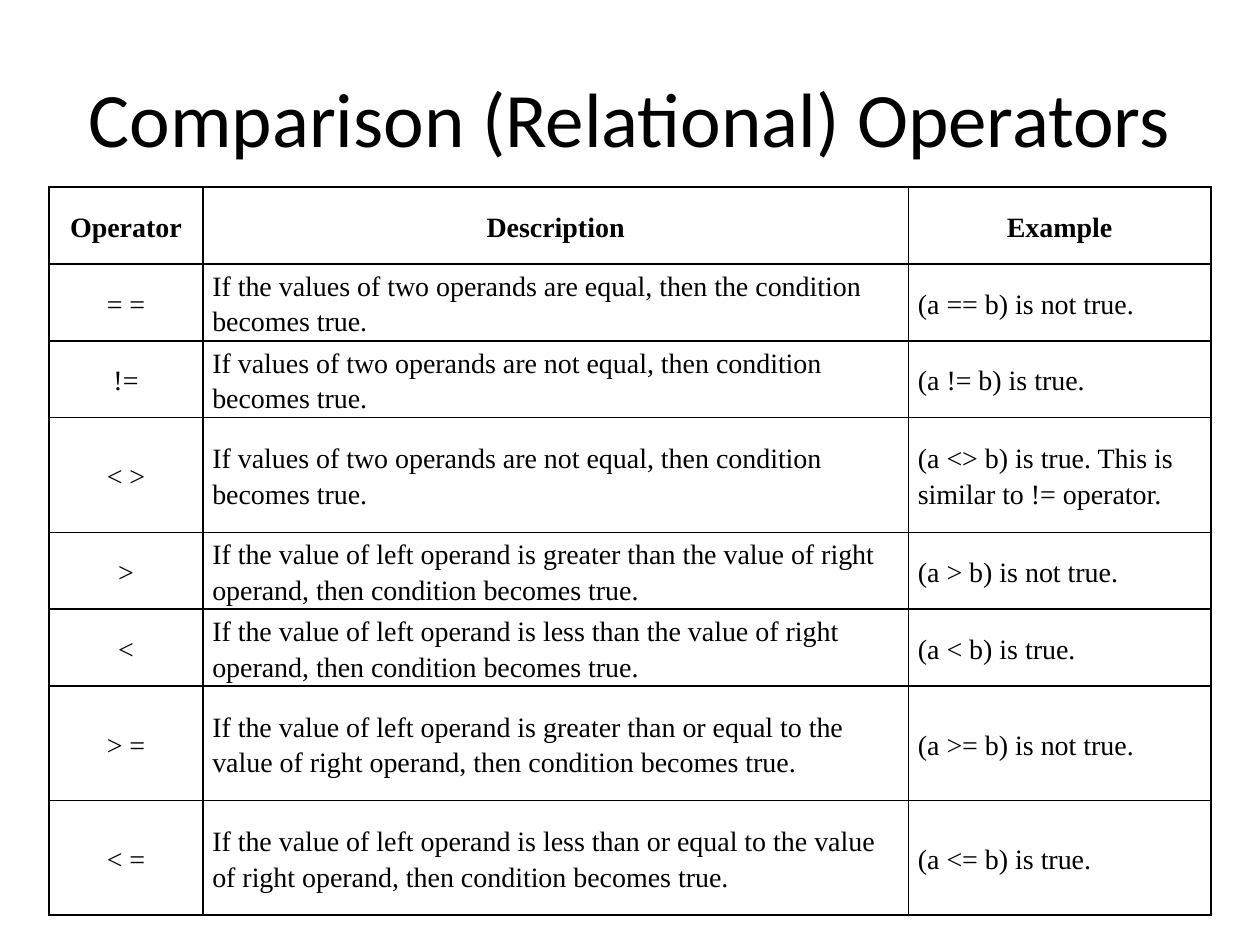
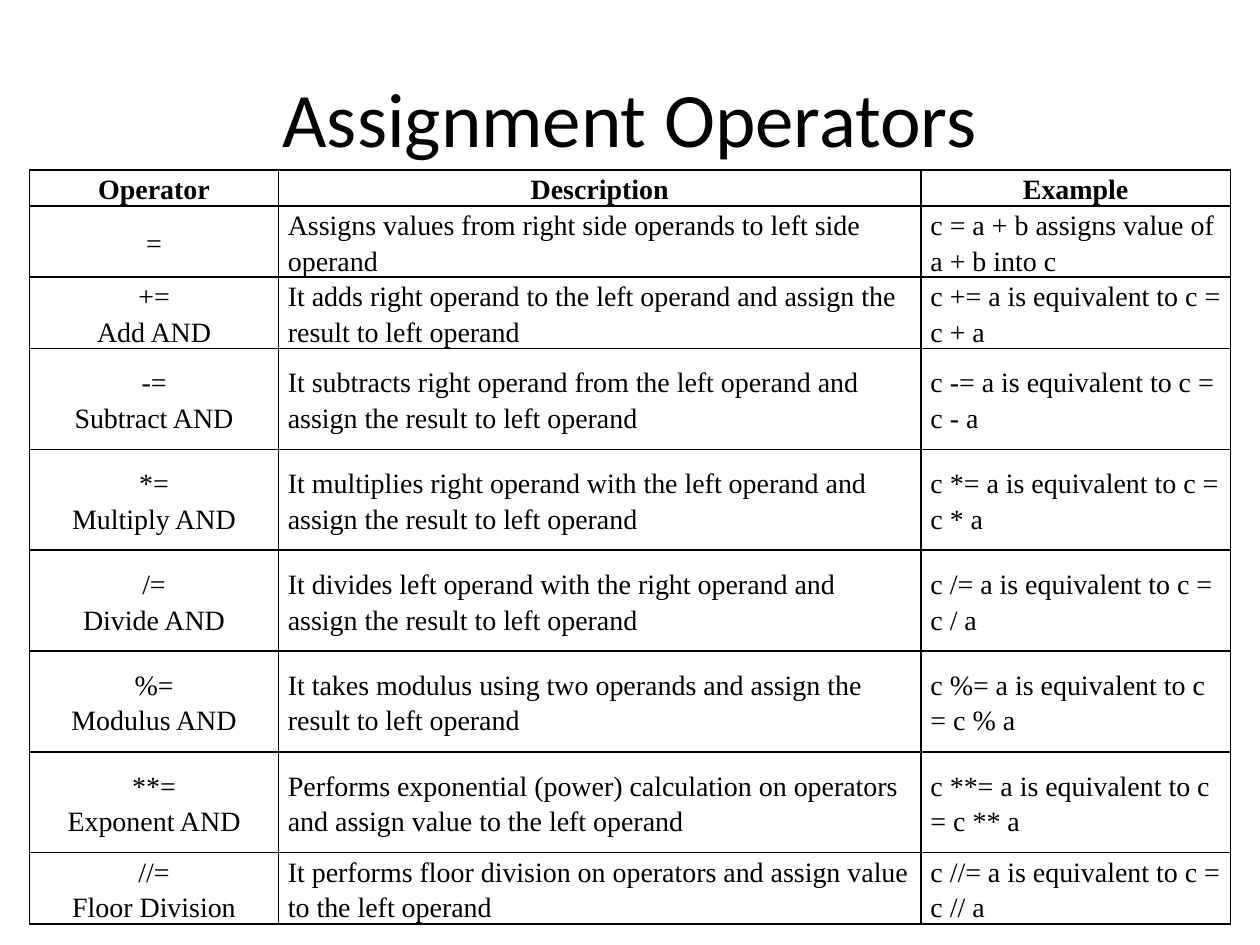
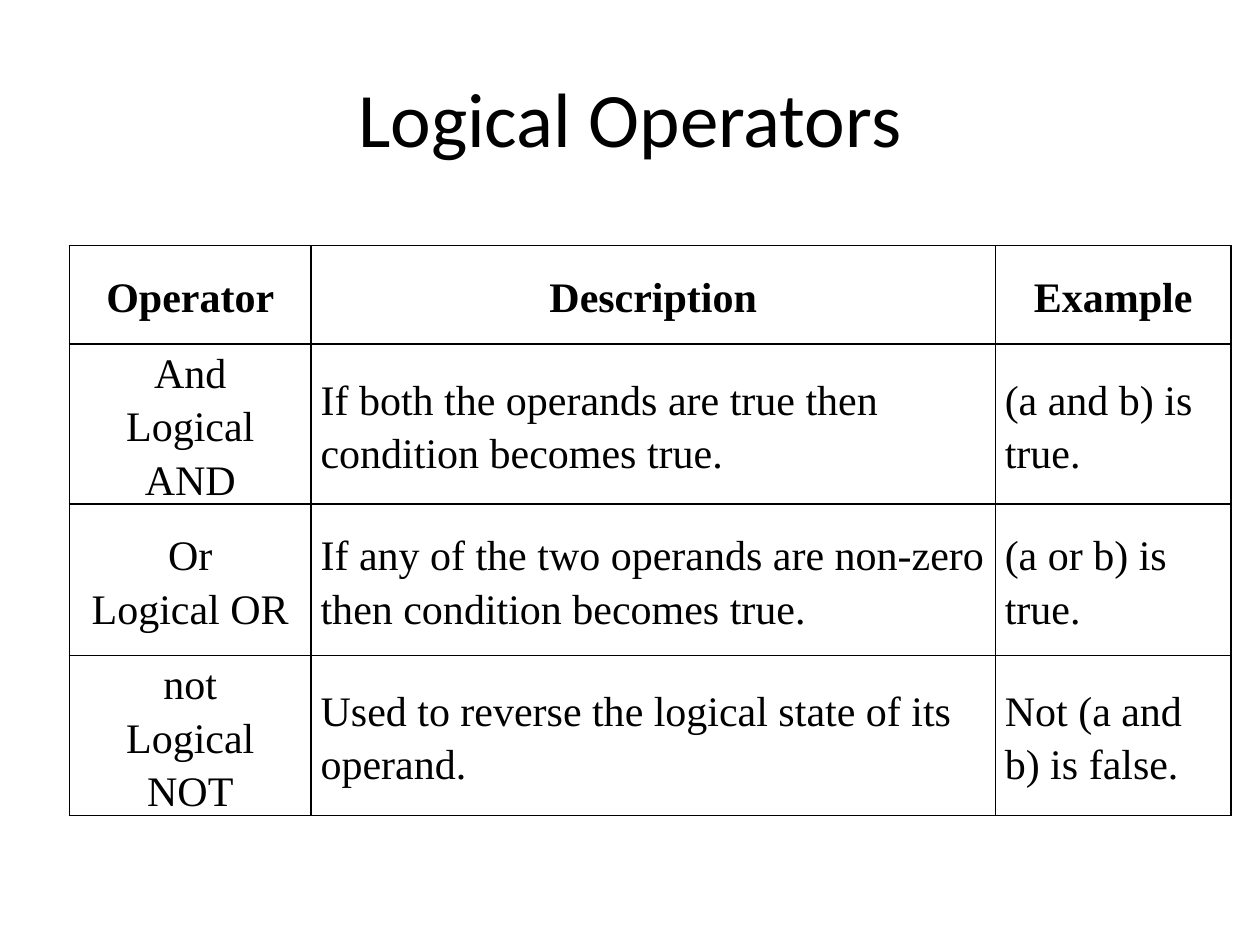
from pptx import Presentation
from pptx.dml.color import RGBColor
from pptx.enum.text import MSO_ANCHOR, PP_ALIGN
from pptx.oxml import parse_xml
from pptx.oxml.ns import nsdecls
from pptx.util import Pt

PX = 4572
SLIDE_W, SLIDE_H = 2000, 1500
BLACK = RGBColor(0x00, 0x00, 0x00)
TITLE_BOX = (100, 60, 1800, 250)
TITLE_FONT = {"name": "Calibri", "size": Pt(44)}
TABLE_FONT = "Times New Roman"
CELL_FORMAT = {
    "margin_left": 15 * PX,
    "margin_right": 15 * PX,
    "margin_top": 0,
    "margin_bottom": 0,
    "vertical_anchor": MSO_ANCHOR.MIDDLE,
}
HEADER = ("Operator", "Description", "Example")

COMPARISON = [
    ("= =", "If the values of two operands are equal, then the condition becomes true.",
     "(a == b) is not true."),
    ("!=", "If values of two operands are not equal, then condition becomes true.",
     "(a != b) is true."),
    ("< >", "If values of two operands are not equal, then condition becomes true.",
     "(a <> b) is true. This is similar to != operator."),
    (">", "If the value of left operand is greater than the value of right operand, "
     "then condition becomes true.", "(a > b) is not true."),
    ("<", "If the value of left operand is less than the value of right operand, "
     "then condition becomes true.", "(a < b) is true."),
    ("> =", "If the value of left operand is greater than or equal to the value of right "
     "operand, then condition becomes true.", "(a >= b) is not true."),
    ("< =", "If the value of left operand is less than or equal to the value of right "
     "operand, then condition becomes true.", "(a <= b) is true."),
]

COMPOUND = [
    ("+", "Add AND",
     "It adds right operand to the left operand and assign the result to left operand"),
    ("-", "Subtract AND",
     "It subtracts right operand from the left operand and assign the result to left operand"),
    ("*", "Multiply AND",
     "It multiplies right operand with the left operand and assign the result to left operand"),
    ("/", "Divide AND",
     "It divides left operand with the right operand and assign the result to left operand"),
    ("%", "Modulus AND",
     "It takes modulus using two operands and assign the result to left operand"),
    ("**", "Exponent AND",
     "Performs exponential (power) calculation on operators and assign value to the left operand"),
    ("//", "Floor Division",
     "It performs floor division on operators and assign value to the left operand"),
]

ASSIGNMENT = [
    ("=", "Assigns values from right side operands to left side operand",
     "c = a + b assigns value of a + b into c"),
] + [
    (f"{op}=\n{label}", description, f"c {op}= a is equivalent to c = c {op} a")
    for op, label, description in COMPOUND
]

LOGICAL = [
    ("And\nLogical AND", "If both the operands are true then condition becomes true.",
     "(a and b) is true."),
    ("Or\nLogical OR", "If any of the two operands are non-zero then condition becomes true.",
     "(a or b) is true."),
    ("not\nLogical NOT", "Used to reverse the logical state of its operand.",
     "Not (a and b) is false."),
]

SLIDES = [
    {"title": "Comparison (Relational) Operators", "records": COMPARISON,
     "box": (78, 297, 1844, 1156), "widths": (244, 1120, 480),
     "heights": (122, 122, 122, 182, 122, 122, 182, 182), "size": 16, "leading": 20.4},
    {"title": "Assignment Operators", "records": ASSIGNMENT,
     "box": (47, 270, 1906, 1214), "widths": (395, 1020, 491),
     "heights": (54, 110, 110, *[160] * 5, 110), "size": 16, "leading": 20.4},
    {"title": "Logical Operators", "records": LOGICAL,
     "box": (110, 390, 1844, 936), "widths": (384, 1086, 374),
     "heights": (156, 240, 240, 240), "size": 24, "leading": 30.5},
]


def apply(target, values):
    """Set each named attribute of the target."""
    for name, value in values.items():
        setattr(target, name, value)


def style_font(font, values):
    """Apply font values in black."""
    apply(font, values)
    font.color.rgb = BLACK


def add_title(s, text, box):
    """Add the centred slide title in the given box."""
    tf = s.shapes.add_textbox(*(v * PX for v in box)).text_frame
    apply(tf, {"word_wrap": True, "vertical_anchor": MSO_ANCHOR.MIDDLE, "text": text})
    p = tf.paragraphs[0]
    p.alignment = PP_ALIGN.CENTER
    style_font(p.runs[0].font, TITLE_FONT)


def add_borders(cell):
    """Draw a thin black line on all four sides of a cell."""
    tcPr = cell._tc.get_or_add_tcPr()
    for side in ("lnL", "lnR", "lnT", "lnB"):
        tcPr.append(parse_xml(
            f'<a:{side} {nsdecls("a")} w="{Pt(1)}"><a:solidFill>'
            f'<a:srgbClr val="{BLACK}"/></a:solidFill></a:{side}>'))


def fill_cell(cell, text, font_values, paragraph_values):
    """Write and format one table cell."""
    apply(cell, CELL_FORMAT)
    add_borders(cell)
    cell.fill.background()
    cell.text = text
    for p in cell.text_frame.paragraphs:
        apply(p, paragraph_values)
        style_font(p.runs[0].font, font_values)


def add_operator_table(s, records, box, widths, heights, size, leading):
    """Add a bordered operator table with its header in the given box."""
    frame = s.shapes.add_table(len(heights), len(widths), *(v * PX for v in box))
    table = frame.table
    apply(table, {"first_row": False, "horz_banding": False})
    for column, width in zip(table.columns, widths):
        column.width = width * PX
    for i, (height, record) in enumerate(zip(heights, [HEADER, *records])):
        table.rows[i].height = height * PX
        font_values = {"name": TABLE_FONT, "size": Pt(size), "bold": i == 0}
        for j, text in enumerate(record):
            align = PP_ALIGN.CENTER if i == 0 or j == 0 else PP_ALIGN.LEFT
            fill_cell(table.cell(i, j), text, font_values,
                      {"alignment": align, "line_spacing": Pt(leading)})
    frame.height = box[3] * PX


def main():
    """Build the operator slides and save them."""
    prs = Presentation()
    apply(prs, {"slide_width": SLIDE_W * PX, "slide_height": SLIDE_H * PX})
    for content in SLIDES:
        s = prs.slides.add_slide(prs.slide_layouts[6])
        add_title(s, content["title"], TITLE_BOX)
        add_operator_table(s, **{k: v for k, v in content.items() if k != "title"})
    prs.save("out.pptx")


if __name__ == "__main__":
    main()
